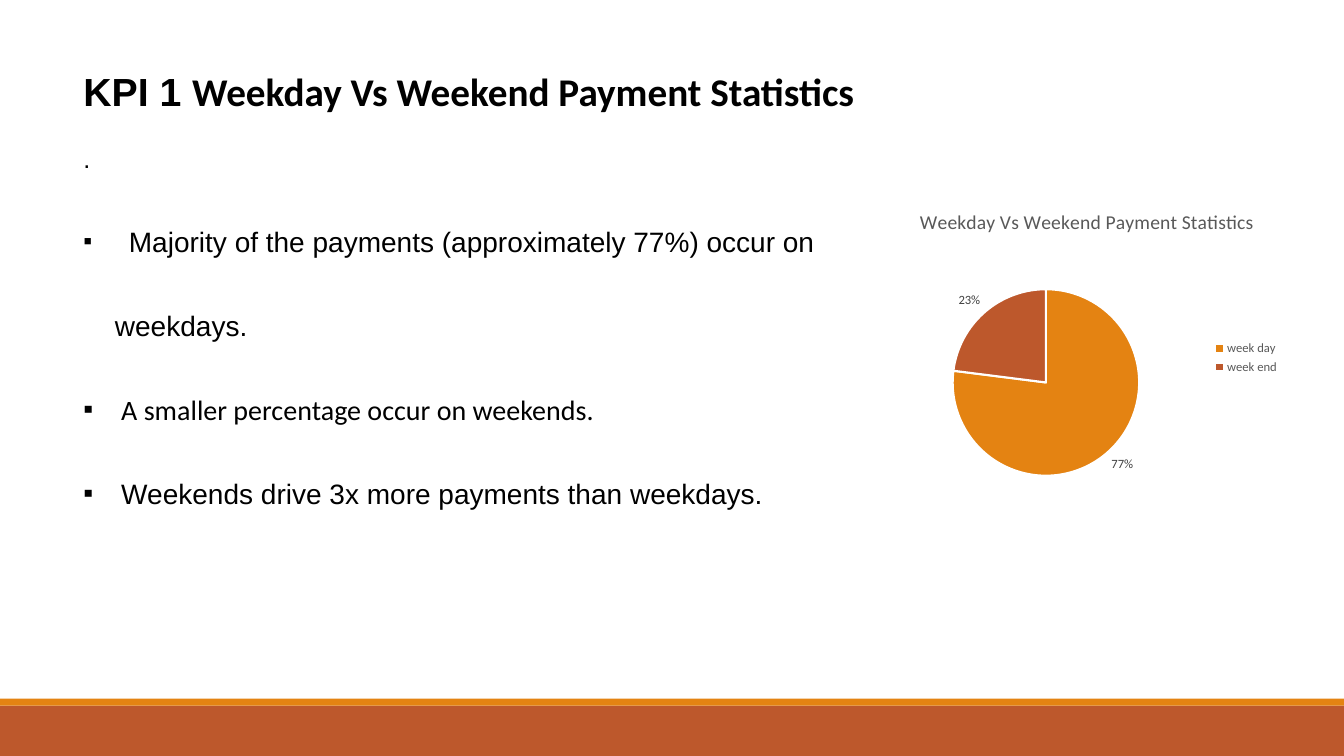
from lxml.etree import SubElement
from pptx import Presentation
from pptx.chart.data import CategoryChartData as ChartData
from pptx.dml.color import RGBColor
from pptx.enum.chart import XL_CHART_TYPE as ChartType
from pptx.enum.chart import XL_LABEL_POSITION as LabelPosition
from pptx.enum.chart import XL_LEGEND_POSITION as LegendPosition
from pptx.enum.shapes import MSO_SHAPE as Shape
from pptx.enum.text import MSO_ANCHOR as Anchor
from pptx.oxml.ns import qn
from pptx.util import Pt

WIDTH, HEIGHT = 960, 540
COLORS = {
    "text": "000000",
    "orange": "E48312",
    "rust": "BD582C",
    "chart_text": "595959",
    "label": "404040",
    "white": "FFFFFF",
}
HEADING = "Weekday Vs Weekend Payment Statistics"


def color(name):
    return RGBColor.from_string(COLORS[name])


def style_font(font, size, name="Calibri", fill="text", bold=False):
    font.size = Pt(size)
    font.name = name
    font.bold = bold
    font.color.rgb = color(fill)


def add_span(para, text, **style):
    span = para.add_run()
    span.text = text
    style_font(span.font, **style)
    return span


def set_bullet(para, indent):
    props = para._p.get_or_add_pPr()
    props.set("marL", str(Pt(indent)))
    props.set("indent", str(-Pt(indent)))
    SubElement(props, qn("a:buFont"), typeface="Arial")
    SubElement(props, qn("a:buChar"), char="▪")


def add_footer(page, left, bottom, width):
    # Rust band with a thin orange strip on top
    top = bottom
    for fill, height in (("rust", 36), ("orange", 5)):
        top -= height
        band = page.shapes.add_shape(
            Shape.RECTANGLE, Pt(left), Pt(top), Pt(width), Pt(height))
        band.shadow.inherit = False
        band.fill.solid()
        band.fill.fore_color.rgb = color(fill)
        band.line.fill.background()


def add_findings(page, left, top, width, height):
    box = page.shapes.add_textbox(Pt(left), Pt(top), Pt(width), Pt(height))
    frame = box.text_frame
    frame.word_wrap = True
    frame.vertical_anchor = Anchor.MIDDLE

    # Heading and the lone dot below it
    title = frame.paragraphs[0]
    add_span(title, "KPI 1 ", size=28, name="Arial", bold=True)
    add_span(title, HEADING, size=28, bold=True)
    dot = frame.add_paragraph()
    dot.space_before = Pt(21)
    add_span(dot, ".", size=18, name="Arial")

    # Bullets: text, font, hanging indent, extra first-line gap
    findings = [
        ("Majority of the payments (approximately 77%) occur on weekdays.",
         "Arial", 22.5, 5),
        ("A smaller percentage occur on weekends.", "Calibri", 27, 0),
        ("Weekends drive 3x more payments than weekdays.", "Arial", 27, 0),
    ]
    for text, name, indent, gap in findings:
        para = frame.add_paragraph()
        para.line_spacing = 2.5
        set_bullet(para, indent)
        if gap:
            spacer = add_span(para, " ", size=18, name=name)
            spacer.font._element.set("spc", str(gap * 100))
        add_span(para, text, size=20, name=name)


def set_layout(parent, index, **values):
    for old in parent.findall(qn("c:layout")):
        parent.remove(old)
    layout = SubElement(parent, qn("c:layout"))
    manual = SubElement(layout, qn("c:manualLayout"))
    for key, value in values.items():
        SubElement(manual, qn(f"c:{key}"), val=str(value))
    parent.insert(index, layout)


def add_payment_pie(page, left, top, width, height):
    data = ChartData()
    data.categories = ["week day", "week end"]
    data.add_series("Series 1", (77, 23))
    chart = page.shapes.add_chart(
        ChartType.PIE, Pt(left), Pt(top), Pt(width), Pt(height), data).chart
    style_font(chart.font, 10)

    # Title
    chart.has_title = True
    para = chart.chart_title.text_frame.paragraphs[0]
    add_span(para, HEADING, size=14, fill="chart_text")
    set_layout(chart.element.find(".//" + qn("c:title")), 1,
               xMode="edge", yMode="edge", x=0.18, y=0.1)

    # Legend
    chart.has_legend = True
    chart.legend.position = LegendPosition.RIGHT
    chart.legend.include_in_layout = False
    style_font(chart.legend.font, 9, fill="chart_text")

    # Slices and labels
    plot = chart.plots[0]
    plot.vary_by_categories = True
    for index, fill in enumerate(("orange", "rust")):
        look = plot.series[0].points[index].format
        look.fill.solid()
        look.fill.fore_color.rgb = color(fill)
        look.line.color.rgb = color("white")
        look.line.width = Pt(1.5)
    plot.has_data_labels = True
    labels = plot.data_labels
    labels.show_percentage = True
    labels.show_value = False
    labels.number_format = "0%"
    labels.number_format_is_linked = False
    labels.position = LabelPosition.OUTSIDE_END
    style_font(labels.font, 9, fill="label")
    set_layout(chart.element.find(".//" + qn("c:plotArea")), 0,
               layoutTarget="inner", xMode="edge", yMode="edge",
               x=0.26, y=0.22, w=0.41, h=0.69)


def main():
    deck = Presentation()
    deck.slide_width, deck.slide_height = Pt(WIDTH), Pt(HEIGHT)
    page = deck.slides.add_slide(deck.slide_layouts[6])
    add_footer(page, 0, HEIGHT, WIDTH)
    add_payment_pie(page, 596, 119, 325, 273)
    add_findings(page, 52.5, 47.5, 611, 317)
    deck.save("out.pptx")


if __name__ == "__main__":
    main()
